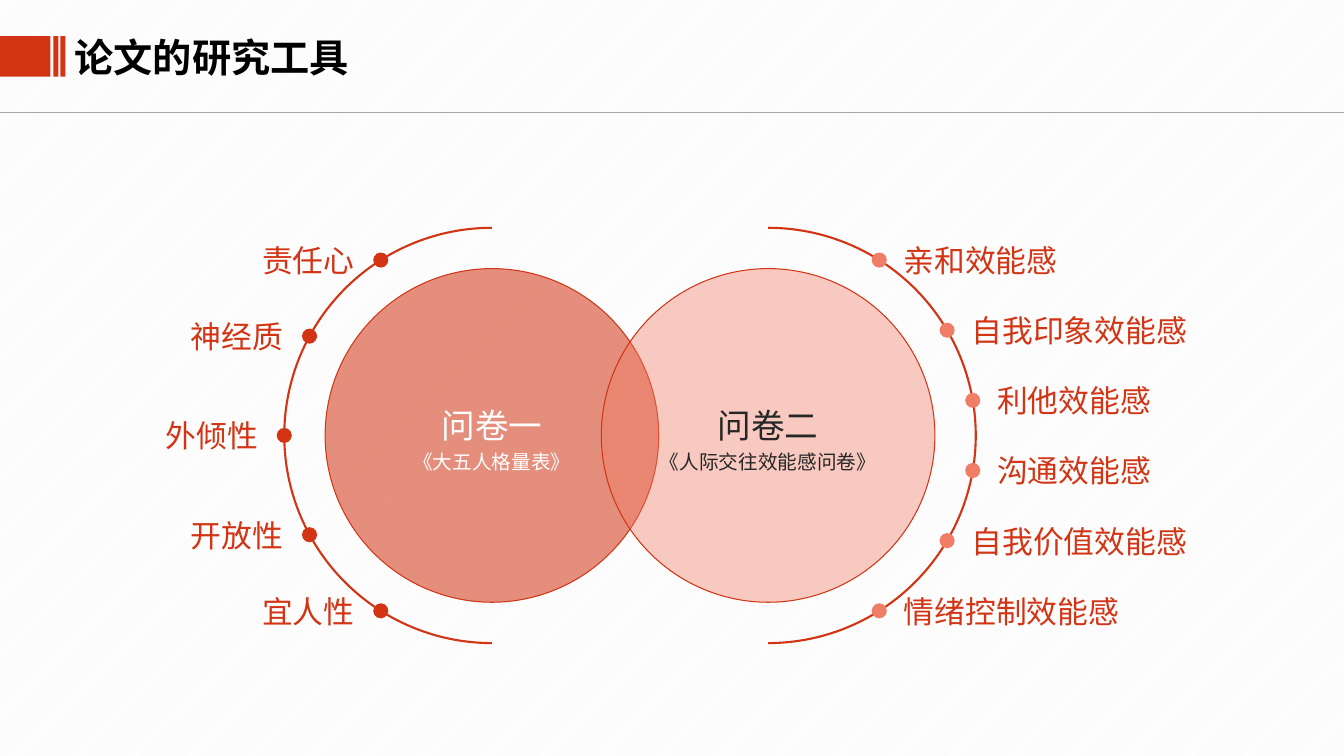
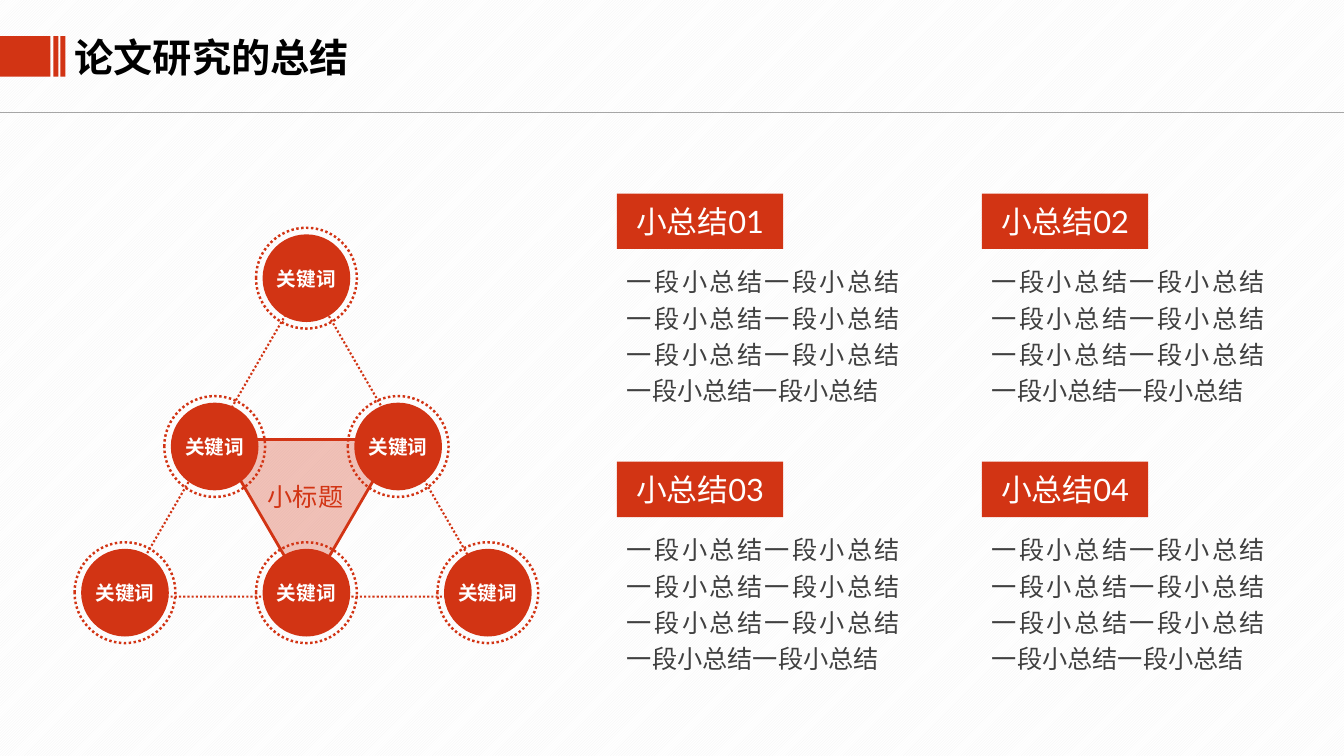
from math import sqrt

from lxml import etree
from pptx import Presentation
from pptx import util as u
from pptx.dml.color import RGBColor
from pptx.enum import dml, shapes, text
from pptx.oxml import ns

RED, CORAL, WHITE, BLACK = "D23414", "F07D66", "FFFFFF", "000000"
INK, GREY, RULE, STRIPE = "262626", "404040", "A6A6A6", "F2F2F2"
SANS, LATO = "Noto Sans CJK SC", "Lato"
KIND, ALIGN = shapes.MSO_SHAPE, text.PP_ALIGN
CELL = 0.1


def hue(code):
    return RGBColor.from_string(code)


def span(*cells):
    return [u.Inches(n * CELL) for n in cells]


def apply(item, form):
    for name, value in form.items():
        setattr(item, name, value)


class Deck:
    frame = dict(margin_left=0, margin_right=0, margin_top=0, margin_bottom=0,
                 auto_size=text.MSO_AUTO_SIZE.NONE,
                 vertical_anchor=text.MSO_ANCHOR.MIDDLE)

    def __init__(self, cols, rows):
        self.prs = Presentation()
        self.cols = cols
        wide, high = span(cols, rows)
        apply(self.prs, dict(slide_width=wide, slide_height=high))
        fill = self.prs.slide_master.background.fill
        fill.patterned()
        fill.pattern = dml.MSO_PATTERN.LIGHT_UPWARD_DIAGONAL
        fill.fore_color.rgb = hue(STRIPE)
        fill.back_color.rgb = hue(WHITE)

    def page(self, title):
        self.slide = self.prs.slides.add_slide(self.prs.slide_layouts[5])
        self.rule(11.2)
        for left, wide in ((0, 5), (5.3, 0.5), (6, 0.5)):
            self.shape(KIND.RECTANGLE, (left, 3.6, wide, 4), RED)
        head = self.slide.shapes.title
        apply(head, dict(zip(("left", "top", "width", "height"),
                             span(7.4, 2.8, 28.5, 5.7))))
        self.fit(head, [[(title, 28, SANS)]], BLACK, align=ALIGN.LEFT,
                 wrap=False, bold=True)

    def rule(self, row):
        line = self.slide.shapes.add_connector(
            shapes.MSO_CONNECTOR.STRAIGHT, *span(0, row, self.cols, row))
        line.line.width = u.Pt(0.75)
        line.line.color.rgb = hue(RULE)
        etree.SubElement(line.element.spPr, ns.qn("a:effectLst"))

    def shape(self, kind, box, fill=None, alpha=None, line=None, width=1,
              dash=None, adjust=(), turn=0):
        item = self.slide.shapes.add_shape(kind, *span(*box))
        item.shadow.inherit = False
        item.rotation = turn
        for spot, value in enumerate(adjust):
            item.adjustments[spot] = value
        if fill:
            item.fill.solid()
            item.fill.fore_color.rgb = hue(fill)
        else:
            item.fill.background()
        if alpha:
            tint = item.element.spPr.find(".//" + ns.qn("a:srgbClr"))
            etree.SubElement(tint, ns.qn("a:alpha"), val=str(alpha * 1000))
        if line:
            item.line.color.rgb = hue(line)
            apply(item.line, dict(width=u.Pt(width), dash_style=dash))
        else:
            item.line.fill.background()
        return item

    def disc(self, x, y, size, fill=None, **form):
        box = (x - size / 2, y - size / 2, size, size)
        return self.shape(KIND.OVAL, box, fill, **form)

    def label(self, box, words, size, color, **form):
        item = self.slide.shapes.add_textbox(*span(*box))
        self.fit(item, [[(words, size, SANS)]], color, **form)

    def fit(self, item, paras, color, align=ALIGN.CENTER, space=None,
            wrap=True, bold=False):
        body = item.text_frame
        apply(body, dict(self.frame, word_wrap=wrap))
        for row, runs in enumerate(paras):
            para = body.add_paragraph() if row else body.paragraphs[0]
            apply(para, dict(alignment=align, line_spacing=space,
                             space_before=u.Pt(0)))
            for words, size, face in runs:
                run = para.add_run()
                run.text = words
                apply(run.font, dict(size=u.Pt(size), bold=bold, name=face))
                run.font.color.rgb = hue(color)
                etree.SubElement(run._r.get_or_add_rPr(), ns.qn("a:ea"),
                                 typeface=SANS)


def tools(deck):
    deck.page("论文的研究工具")
    mid, reach = 43.2, 20.6
    sides = (
        (48.8, -1, RED, 55, WHITE, "问卷一", "《大五人格量表》", (54, 162),
         ("责任心", "神经质", "外倾性", "开放性", "宜人性"),
         (-17.4, -9.85, 0, 9.85, 17.4)),
        (76.2, 1, CORAL, 40, INK, "问卷二", "《人际交往效能感问卷》", (162, 54),
         ("亲和效能感", "自我印象效能感", "利他效能感", "沟通效能感",
          "自我价值效能感", "情绪控制效能感"),
         [6.96 * (n - 2.5) for n in range(6)]),
    )
    for x, way, fill, alpha, ink, name, note, arc, traits, drops in sides:
        ball = deck.disc(x, mid, 33.1, fill, alpha=alpha, line=RED, width=0.75)
        deck.fit(ball, [[(name, 24, LATO)], [(note, 14, SANS)]], ink,
                 space=1.2)
        deck.shape(KIND.ARC, (x - reach, mid - reach, 2 * reach, 2 * reach),
                   line=RED, width=1.5, adjust=arc)
        for trait, drop in zip(traits, drops):
            dot = x + way * sqrt(reach ** 2 - drop ** 2)
            deck.disc(dot, mid + drop, 1.5, fill)
            wide = len(trait) * 3.06
            left = dot + 2.4 if way > 0 else dot - 2.6 - wide
            deck.label((left, mid + drop - 2.35, wide, 4.7), trait, 22, RED,
                       wrap=False)


def summary(deck):
    deck.page("论文研究的总结")
    dots = dml.MSO_LINE.ROUND_DOT
    deck.shape(KIND.ISOSCELES_TRIANGLE, (12.1, 27.6, 36.7, 31.6), line=RED,
               width=1.5, dash=dots)
    deck.shape(KIND.ISOSCELES_TRIANGLE, (21.5, 43.6, 17.9, 15.4), RED,
               alpha=30, line=RED, width=2, turn=180)
    nodes = ((30.4, 27.6), (21.3, 44.3), (39.5, 44.3),
             (12.4, 58.8), (30.4, 58.8), (48.4, 58.8))
    for x, y in nodes:
        ball = deck.disc(x, y, 8.7, RED)
        deck.fit(ball, [[("关键词", 14, SANS)]], WHITE, wrap=False, bold=True)
        deck.disc(x, y, 10, line=RED, width=1.75, dash=dots)
    deck.label((25.5, 47.3, 9.6, 4), "小标题", 18, RED, wrap=False)
    for n in range(4):
        row, col = divmod(n, 2)
        x, y = 61.2 + 36.2 * col, 19.2 + 26.6 * row
        tag = deck.shape(KIND.RECTANGLE, (x, y, 16.5, 5.5), RED)
        deck.fit(tag, [[("小总结", 22, SANS), (f"0{n + 1}", 22, LATO)]], WHITE)
        deck.label((x + 1, y + 6.7, 27.1, 14.3), "一段小总结" * 8, 18, GREY,
                   align=ALIGN.JUSTIFY, space=1.2)


def main():
    deck = Deck(133.33, 75)
    tools(deck)
    summary(deck)
    deck.prs.save("out.pptx")


if __name__ == "__main__":
    main()
